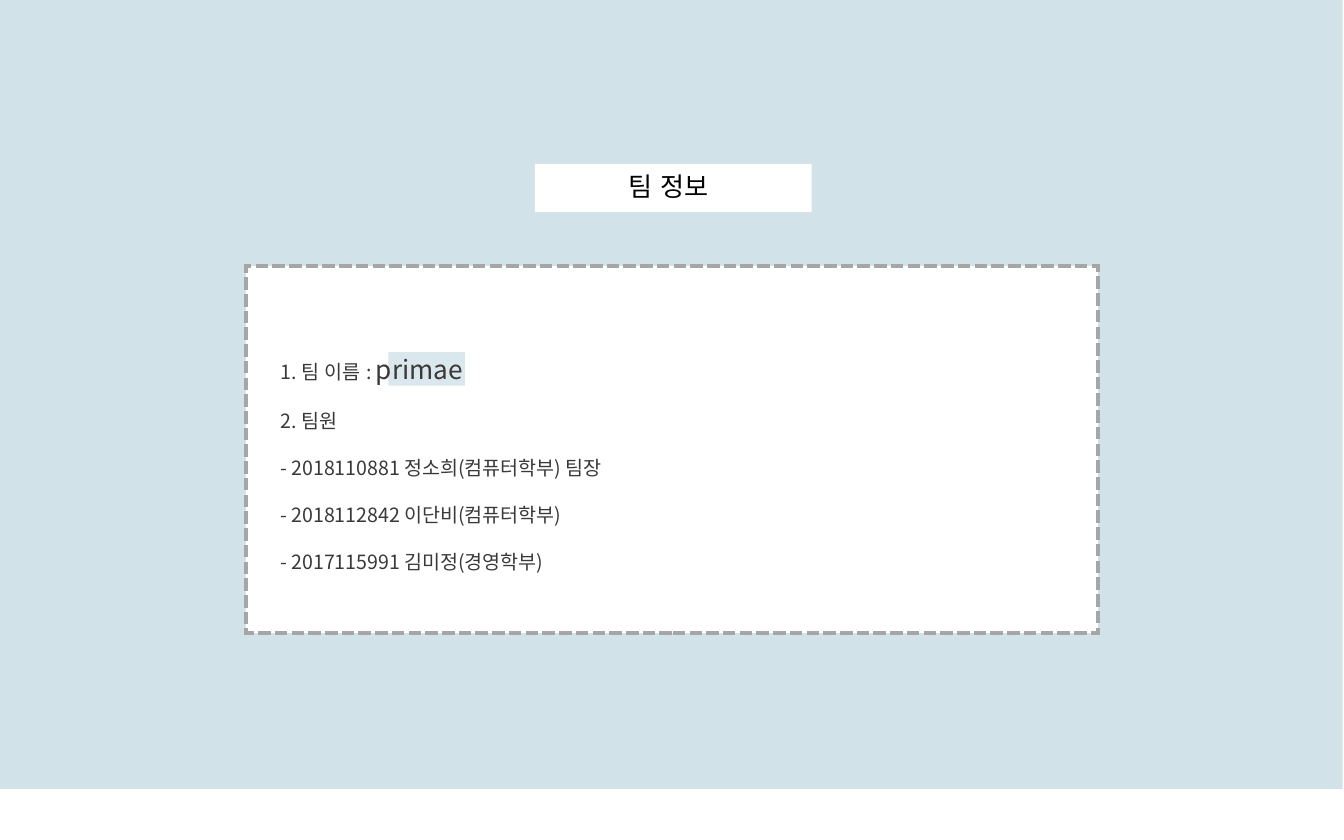
"""Build the team information slide."""
from lxml import etree
from pptx import Presentation
from pptx.dml.color import RGBColor
from pptx.enum.dml import MSO_LINE
from pptx.enum.lang import MSO_LANGUAGE_ID
from pptx.enum.shapes import MSO_SHAPE
from pptx.enum.text import MSO_AUTO_SIZE
from pptx.oxml.ns import qn
from pptx.util import Inches, Pt

RECT = MSO_SHAPE.RECTANGLE
DASH = MSO_LINE.SQUARE_DOT
GROW = MSO_AUTO_SIZE.SHAPE_TO_FIT_TEXT
KOREAN = MSO_LANGUAGE_ID.KOREAN

THEME = {
    "font": "Noto Sans CJK KR",
    "blue": RGBColor.from_string("D1E2E9"),
    "white": RGBColor.from_string("FFFFFF"),
    "grey": RGBColor.from_string("A6A6A6"),
    "black": RGBColor.from_string("000000"),
    "dark": RGBColor.from_string("3B3838"),
    "large": Pt(14),
    "small": Pt(10.5),
}

PANELS = [
    ("backdrop", (0, 0, 9.99, 5.87), "blue"),
    ("title", (3.98, 1.22, 2.06, 0.36), "white"),
    ("team", (1.83, 1.98, 6.34, 2.73), "white"),
    ("mark", (2.89, 2.62, 0.57, 0.25), "blue"),
]

TEXTS = [
    ((4.58, 1.22, 0.85, 0.34), False, 1, "black", [
        [("팀 정보", "large")],
    ]),
    ((1.99, 2.35, 6.08, 1.93), True, 2, "dark", [
        [("1. 팀 이름 : ", "small"), ("primae", "large")],
        [("2. 팀원", "small")],
        [("- 2018110881 정소희(컴퓨터학부) 팀장", "small")],
        [("- 2018112842 이단비(컴퓨터학부)", "small")],
        [("- 2017115991 김미정(경영학부)", "small")],
    ]),
]

deck = Presentation()
deck.slide_width = Inches(10)
deck.slide_height = Inches(6.25)
slide = deck.slides.add_slide(deck.slide_layouts[6])

panels = {}
for role, place, color in PANELS:
    panel = slide.shapes.add_shape(RECT, *map(Inches, place))
    panel.shadow.inherit = False
    panel.fill.solid()
    panel.fill.fore_color.rgb = THEME[color]
    panel.line.fill.background()
    panels[role] = panel

edge = panels["team"].line
edge.color.rgb = THEME["grey"]
for key, value in {"width": Pt(2.25), "dash_style": DASH}.items():
    setattr(edge, key, value)
etree.SubElement(edge._get_or_add_ln(), qn("a:miter"), lim="800000")

tint = panels["mark"].fill._xPr.find(".//" + qn("a:srgbClr"))
etree.SubElement(tint, qn("a:alpha"), val="80000")

for place, wrap, space, color, lines in TEXTS:
    box = slide.shapes.add_textbox(*map(Inches, place))
    frame = box.text_frame
    for key, value in {"word_wrap": wrap, "auto_size": GROW}.items():
        setattr(frame, key, value)
    for index, line in enumerate(lines):
        para = frame.paragraphs[0] if index == 0 else frame.add_paragraph()
        para.line_spacing = float(space)
        for words, size in line:
            run = para.add_run()
            run.text = words
            style = {
                "name": THEME["font"],
                "size": THEME[size],
                "language_id": KOREAN,
            }
            for key, value in style.items():
                setattr(run.font, key, value)
            run.font.color.rgb = THEME[color]
            props = run._r.get_or_add_rPr()
            etree.SubElement(props, qn("a:ea"), typeface=THEME["font"])

deck.save("out.pptx")
